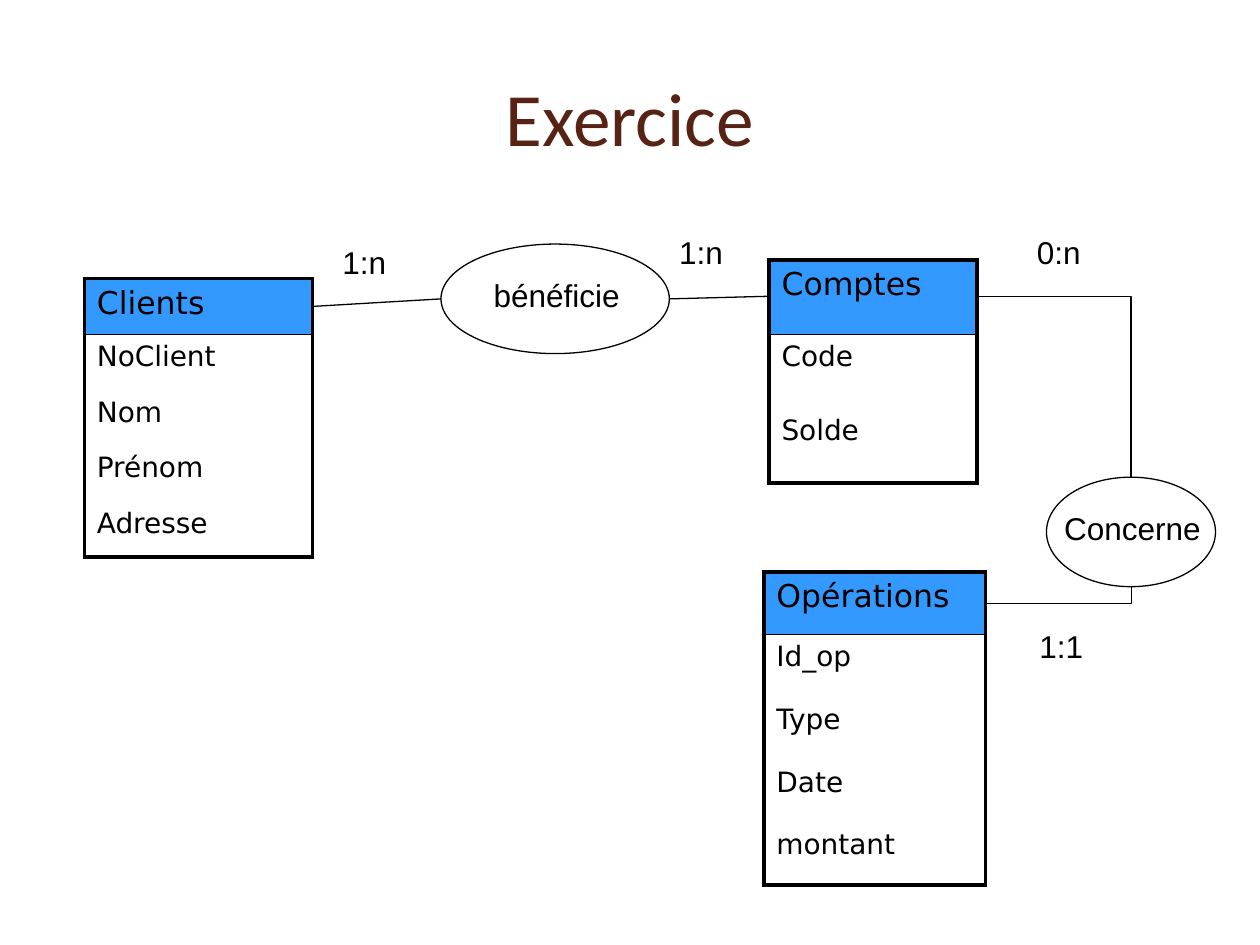
from lxml import etree
from pptx import Presentation
from pptx.dml.color import RGBColor
from pptx.enum.shapes import MSO_CONNECTOR, MSO_SHAPE
from pptx.enum.text import MSO_ANCHOR, MSO_AUTO_SIZE, PP_ALIGN
from pptx.oxml.ns import qn
from pptx.util import Pt

STRAIGHT, ELBOW = MSO_CONNECTOR.STRAIGHT, MSO_CONNECTOR.ELBOW
OVAL = MSO_SHAPE.OVAL
MIDDLE = MSO_ANCHOR.MIDDLE
FIT_SHAPE = MSO_AUTO_SIZE.SHAPE_TO_FIT_TEXT
LEFT, CENTER = PP_ALIGN.LEFT, PP_ALIGN.CENTER

COLORS = {"title": "572314", "ink": "000000", "header": "3399FF"}
THICK, THIN = 2.25, 1


def write(frame, text, font="Arial", size=18, color="ink", align=LEFT):
    para = frame.paragraphs[0]
    para.alignment = align
    span = para.add_run()
    span.text = text
    span.font.name = font
    span.font.size = Pt(size)
    span.font.color.rgb = RGBColor.from_string(COLORS[color])


def set_borders(cell, **widths):
    """Draw the sides named (L, R, T, B) at their widths; a width of 0 hides one."""
    properties = cell._tc.get_or_add_tcPr()
    for position, side in enumerate("LRTB"):
        width = widths[side]
        border = etree.Element(qn(f"a:ln{side}"), w=str(Pt(width)))
        if width:
            fill = etree.SubElement(border, qn("a:solidFill"))
            etree.SubElement(fill, qn("a:srgbClr"), val=COLORS["ink"])
        else:
            etree.SubElement(border, qn("a:noFill"))
        properties.insert(position, border)


class Diagram:
    """Entity-relationship drawing on one slide; all lengths are in points."""

    def __init__(self, slide, line_width=0.75):
        self.slide = slide
        self.shapes = slide.shapes
        self.line_width = line_width

    def title(self, text, left, top, width, height):
        box = self.shapes.title
        box.left, box.top, box.width, box.height = map(Pt, (left, top, width, height))
        box.text_frame.vertical_anchor = MIDDLE
        write(box.text_frame, text, font="Calibri", size=43, color="title", align=CENTER)

    def entity(self, names, left, top, width, row_height):
        """Table with the entity's name on top and its attributes below."""
        count = len(names)
        table = self.shapes.add_table(
            count, 1, Pt(left), Pt(top), Pt(width), Pt(row_height * count)).table
        table.first_row = table.horz_banding = False
        for index, name in enumerate(names):
            table.rows[index].height = Pt(row_height)
            cell = table.cell(index, 0)
            is_header = index == 0
            if is_header:
                cell.fill.solid()
                cell.fill.fore_color.rgb = RGBColor.from_string(COLORS["header"])
            else:
                cell.fill.background()
            write(cell.text_frame, name, font="DejaVu Sans", size=18 if is_header else 16)
            above = THICK if is_header else THIN if index == 1 else 0
            below = THIN if is_header else THICK if index == count - 1 else 0
            set_borders(cell, L=THICK, R=THICK, T=above, B=below)

    def label(self, text, left, top, width=39.6, height=28.8):
        box = self.shapes.add_textbox(Pt(left), Pt(top), Pt(width), Pt(height))
        box.text_frame.word_wrap = False
        box.text_frame.auto_size = FIT_SHAPE
        write(box.text_frame, text)

    def relation(self, left, top, width, height=62.6):
        oval = self.shapes.add_shape(OVAL, Pt(left), Pt(top), Pt(width), Pt(height))
        oval.shadow.inherit = False
        oval.fill.background()
        self.ink(oval.line)

    def link(self, start, end, bent=False):
        """Join two points; a bent link runs across first, then up or down."""
        line = self.shapes.add_connector(
            ELBOW if bent else STRAIGHT, *map(Pt, (*start, *end)))
        properties = line._element.spPr
        if bent:
            properties.find(qn("a:prstGeom")).set("prst", "bentConnector2")
        self.ink(line.line)
        etree.SubElement(properties, qn("a:effectLst"))

    def ink(self, line):
        line.color.rgb = RGBColor.from_string(COLORS["ink"])
        line.width = Pt(self.line_width)


def main():
    deck = Presentation()
    deck.slide_width, deck.slide_height = Pt(720), Pt(540)
    diagram = Diagram(deck.slides.add_slide(deck.slide_layouts[5]))
    diagram.title("Exercice", 36, 21.6, 648, 90)

    diagram.entity(["Comptes", "Code", "Solde"], 439.4, 148.5, 118.8, 42.5)
    diagram.entity(["Clients", "NoClient", "Nom", "Prénom", "Adresse"],
                   48.2, 159.3, 130.3, 31.8)
    diagram.entity(["Opérations", "Id_op", "Type", "Date", "montant"],
                   436.5, 326.9, 126.7, 35.8)

    diagram.relation(252, 139.5, 130.5)
    diagram.label("bénéficie", 275, 154.1, 86.4)
    diagram.link((252, 170.8), (178.5, 175.1))
    diagram.link((382.5, 170.8), (439.4, 169.3))

    diagram.relation(598, 272.7, 96.6)
    diagram.label("Concerne", 601, 287.3, 92.2)
    diagram.link((558.4, 169.3), (646.4, 272.7), bent=True)
    diagram.link((563.2, 344.7), (646.4, 335.3), bent=True)

    for text, left, top in (("1:n", 188.6, 135.4), ("1:n", 381, 129.6),
                            ("0:n", 585.4, 129.6), ("1:1", 586.8, 355)):
        diagram.label(text, left, top)

    deck.save("out.pptx")


if __name__ == "__main__":
    main()
